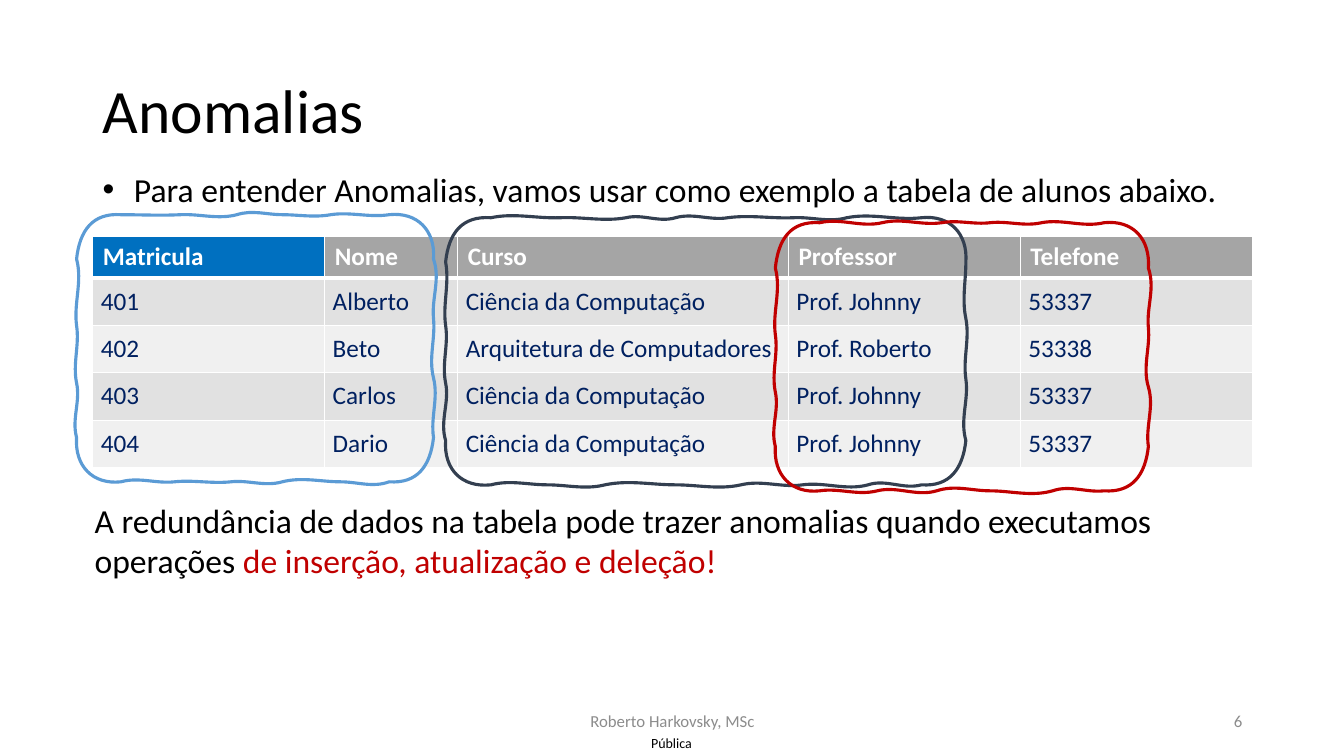
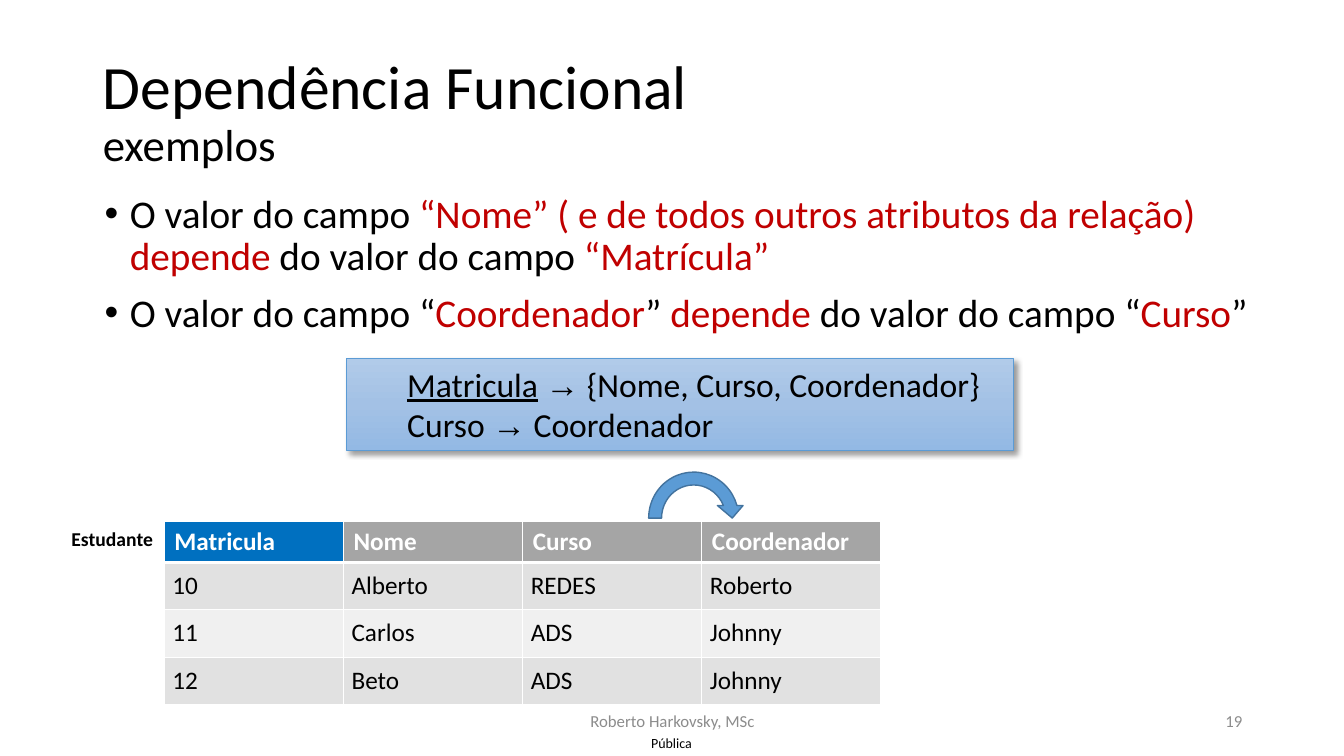
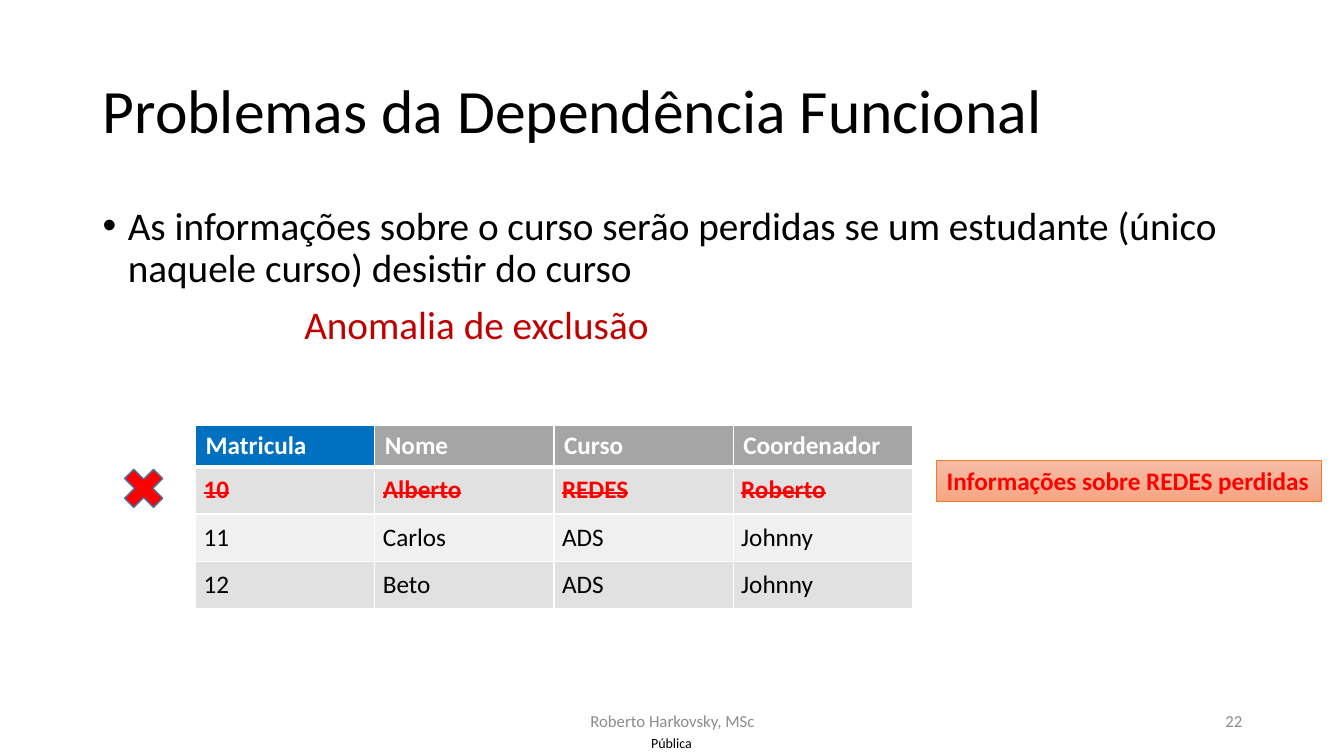
from dataclasses import dataclass
from itertools import pairwise

from lxml import etree
from pptx import Presentation, oxml, util as u
from pptx.dml.color import RGBColor
from pptx.enum import shapes as kinds, text as t
from pptx.oxml import ns

Box = tuple[float, float, float, float]
Wave = tuple[tuple[float, float], ...]
Point = tuple[float, float]


@dataclass(frozen=True)
class Theme:
    face: str = "Calibri"
    sign: str = "Arial"
    ink: str = "000000"
    white: str = "FFFFFF"
    grey: str = "8C8C8C"
    red: str = "C00000"
    alert: str = "FF0000"
    navy: str = "002060"
    key: str = "0070C0"
    head: str = "A5A5A5"
    bands: tuple[str, str] = ("E1E1E1", "F0F0F0")
    blue: str = "5B9BD5"
    edge: str = "43739E"
    slate: str = "333F50"
    orange: str = "ED7D31"
    sky: tuple[str, ...] = ("B1CBE9", "A3C1E5", "93B9E4")
    peach: tuple[str, ...] = ("F7BDA5", "F5B196", "F8A582")
    title: int = 44
    sub: int = 32
    body: int = 28
    lead: int = 24
    cell: int = 18
    label: int = 14
    foot: int = 12
    tag: int = 10


T = Theme()


@dataclass(frozen=True)
class Bit:
    text: str
    col: str | None = None
    size: int | None = None
    face: str | None = None
    under: bool = False


@dataclass(frozen=True)
class Para:
    bits: tuple[Bit, ...]
    size: int
    col: str = T.ink
    bold: bool = False
    strike: bool = False
    align: t.PP_ALIGN = t.PP_ALIGN.LEFT
    left: float = 0
    hang: float = 0
    gap: int = 0
    pitch: float = 1.0


@dataclass(frozen=True)
class Grid:
    left: float
    top: float
    cols: tuple[float, ...]
    rows: tuple[tuple[str, ...], ...]
    col: str = T.ink
    lost: int | None = None


@dataclass(frozen=True)
class Loop:
    col: str
    box: Box
    top: Wave
    right: Wave
    foot: Wave
    left: Wave


@dataclass(frozen=True)
class Knot:
    at: Point
    way: Point
    sway: float

    def pull(self, reach: float, sway: float) -> Point:
        (x, y), (dx, dy) = self.at, self.way
        return x + reach * dx + sway * abs(dy), y + reach * dy + sway * abs(dx)

    def bulge(self, size: float) -> float:
        dx, dy = self.way
        return size * (dy - dx)


def rgb(code: str) -> RGBColor:
    return RGBColor.from_string(code)


def plain(text: str, size: int, **opts) -> Para:
    return Para((Bit(text),), size, **opts)


def place(box: Box) -> list[u.Length]:
    return [u.Inches(n) for n in box]


def write(frame, paras: list[Para], anchor=t.MSO_ANCHOR.TOP, wrap: bool = True) -> None:
    frame.word_wrap = wrap
    frame.auto_size = t.MSO_AUTO_SIZE.NONE if wrap else t.MSO_AUTO_SIZE.SHAPE_TO_FIT_TEXT
    frame.vertical_anchor = anchor
    for n, para in enumerate(paras):
        p = frame.add_paragraph() if n else frame.paragraphs[0]
        props = p._p.get_or_add_pPr()
        props.set("marL", str(u.Inches(para.left)))
        props.set("indent", str(u.Inches(-para.hang)))
        if para.hang:
            etree.SubElement(props, ns.qn("a:buFont"), typeface=T.sign)
            etree.SubElement(props, ns.qn("a:buChar"), char="•")
        p.alignment = para.align
        p.line_spacing = para.pitch
        if n:
            p.space_before = u.Pt(para.gap)
        font = p.font
        font.name, font.size, font.bold = T.face, u.Pt(para.size), para.bold
        font.color.rgb = rgb(para.col)
        for bit in para.bits:
            if bit.text == "\n":
                p.add_line_break()
                continue
            run = p.add_run()
            run.text = bit.text
            if bit.col:
                run.font.color.rgb = rgb(bit.col)
            if bit.size:
                run.font.size = u.Pt(bit.size)
            if bit.face:
                run.font.name = bit.face
            if bit.under:
                run.font.underline = True
            if para.strike:
                run._r.get_or_add_rPr().set("strike", "sngStrike")


def label(slide, box: Box, paras: list[Para], anchor=t.MSO_ANCHOR.TOP,
          wrap: bool = True, inset: bool = True):
    item = slide.shapes.add_textbox(*place(box))
    frame = item.text_frame
    if not inset:
        frame.margin_left = frame.margin_right = frame.margin_top = frame.margin_bottom = 0
    write(frame, paras, anchor, wrap)
    return item


def start(deck, bits: tuple[Bit, ...], page: int):
    slide = deck.slides.add_slide(deck.slide_layouts[5])
    title = slide.shapes.title
    title.left, title.top, title.width, title.height = place((0.92, 0.4, 11.5, 1.45))
    mid = t.MSO_ANCHOR.MIDDLE
    write(title.text_frame, [Para(bits, T.title, pitch=0.9)], mid)
    label(slide, (4.42, 6.95, 4.5, 0.4),
          [plain("Roberto Harkovsky, MSc", T.foot, col=T.grey, align=t.PP_ALIGN.CENTER)], mid)
    label(slide, (9.42, 6.95, 3, 0.4),
          [plain(str(page), T.foot, col=T.grey, align=t.PP_ALIGN.RIGHT)], mid)
    return slide


def stamp(deck) -> None:
    mark = label(deck.slides[0], (6.31, 7.22, 0.7, 0.29),
                 [plain("Pública", T.tag, align=t.PP_ALIGN.CENTER)],
                 t.MSO_ANCHOR.MIDDLE, inset=False)
    deck.slide_master.shapes._spTree.append(mark._element)


def rule(cell, row: int) -> None:
    props = cell._tc.get_or_add_tcPr()
    wide = {"L": 1, "R": 1, "T": 3 if row == 1 else 1, "B": 1 if row else 3}
    for n, (side, size) in enumerate(wide.items()):
        line = etree.Element(ns.qn(f"a:ln{side}"), w=str(u.Pt(size)))
        fill = etree.SubElement(line, ns.qn("a:solidFill"))
        etree.SubElement(fill, ns.qn("a:srgbClr"), val=T.white)
        props.insert(n, line)


def table(slide, grid: Grid) -> None:
    high = [0.41] + [0.47] * (len(grid.rows) - 1)
    box = (grid.left, grid.top, sum(grid.cols), sum(high))
    tab = slide.shapes.add_table(len(high), len(grid.cols), *place(box)).table
    for n, width in enumerate(grid.cols):
        tab.columns[n].width = u.Inches(width)
    for r, words in enumerate(grid.rows):
        tab.rows[r].height = u.Inches(high[r])
        lost = r == grid.lost
        for c, word in enumerate(words):
            cell = tab.cell(r, c)
            cell.fill.solid()
            if r:
                pad = u.Inches(0.08)
                cell.margin_left = cell.margin_right = cell.margin_top = cell.margin_bottom = pad
                tint, col = T.bands[(r - 1) % 2], T.alert if lost else grid.col
            else:
                tint, col = T.head if c else T.key, T.white
            cell.fill.fore_color.rgb = rgb(tint)
            rule(cell, r)
            para = plain(word, T.cell, col=col, bold=lost or not r, strike=lost)
            write(cell.text_frame, [para])


def shape(slide, kind, box: Box, fill: str, edge: str, size: float = 1):
    item = slide.shapes.add_shape(kind, *place(box))
    item.shadow.inherit = False
    item.fill.solid()
    item.fill.fore_color.rgb = rgb(fill)
    item.line.color.rgb = rgb(edge)
    item.line.width = u.Pt(size)
    return item


def panel(slide, box: Box, tints: tuple[str, ...], edge: str):
    item = shape(slide, kinds.MSO_SHAPE.RECTANGLE, box, tints[0], edge, 0.5)
    stops = "".join(f'<a:gs pos="{n * 50000}"><a:srgbClr val="{tint}"/></a:gs>'
                    for n, tint in enumerate(tints))
    fill = oxml.parse_xml(f'<a:gradFill {ns.nsdecls("a")} rotWithShape="1"><a:gsLst>{stops}'
                          '</a:gsLst><a:lin ang="5400000" scaled="0"/></a:gradFill>')
    props = item._element.spPr
    props.replace(props.find(ns.qn("a:solidFill")), fill)
    return item


def shade(item) -> None:
    glow = item._element.spPr.find(ns.qn("a:effectLst"))
    cast = etree.SubElement(glow, ns.qn("a:outerShdw"), blurRad=str(u.Pt(4)),
                            dist=str(u.Pt(3)), dir="2700000", algn="tl", rotWithShape="0")
    tone = etree.SubElement(cast, ns.qn("a:srgbClr"), val=T.ink)
    etree.SubElement(tone, ns.qn("a:alpha"), val="40000")


def bend(a: Knot, b: Knot) -> tuple[Point, Point, Point]:
    span = max(abs(a.at[0] - b.at[0]), abs(a.at[1] - b.at[1]))
    if a.way == b.way:
        return a.pull(span * 0.34, -a.sway), b.pull(-span * 0.34, b.sway), b.at
    out = a.bulge(0.03) if a.way[0] else -a.bulge(-0.03) * -1
    return a.pull(span * 0.64, out), b.pull(-span * 0.64, b.bulge(0.02)), b.at


def sketch(slide, loop: Loop) -> None:
    x0, y0, x1, y1 = loop.box
    knots = [Knot((x, y0), (1, 0), sway) for x, sway in loop.top]
    knots += [Knot((x1, y), (0, 1), sway) for y, sway in loop.right]
    knots += [Knot((x, y1), (-1, 0), sway) for x, sway in loop.foot]
    knots += [Knot((x0, y), (0, -1), sway) for y, sway in loop.left]
    ring = knots + knots[:1]
    dots = [(u.Inches(k.at[0]), u.Inches(k.at[1])) for k in ring]
    pen = slide.shapes.build_freeform(*dots[0])
    pen.add_line_segments(dots[1:], close=True)
    item = pen.convert_to_shape()
    lines = list(item._element.iter(ns.qn("a:lnTo")))
    for line, (a, b) in zip(lines, pairwise(ring)):
        arc = etree.Element(ns.qn("a:cubicBezTo"))
        for x, y in bend(a, b):
            etree.SubElement(arc, ns.qn("a:pt"), x=str(u.Inches(x) - item.left),
                             y=str(u.Inches(y) - item.top))
        line.getparent().replace(line, arc)
    item.shadow.inherit = False
    item.fill.background()
    item.line.color.rgb = rgb(loop.col)
    item.line.width = u.Pt(2.25)


LOOPS = (
    Loop(T.blue, (0.76, 2.13, 4.3, 4.78),
         ((1.2, 0), (1.79, 0.01), (2.35, 0.05), (2.8, 0), (3.28, 0.03), (3.86, 0.03)),
         ((2.57, -0.07), (3.16, -0.02), (3.75, -0.05), (4.34, -0.03)),
         ((3.86, -0.06), (3.38, 0), (2.8, -0.05), (2.29, -0.02), (1.73, -0.02), (1.2, -0.05)),
         ((4.34, 0.05), (3.8, 0.04), (3.23, 0.03), (2.57, 0.06))),
    Loop(T.slate, (4.42, 2.16, 9.58, 4.81),
         ((4.87, 0.05), (5.56, 0.01), (6.21, 0.04), (6.7, 0.05), (7.22, 0.03),
          (7.87, 0.01), (8.4, 0.05), (9.14, 0.03)),
         ((2.6, 0), (3.16, -0.04), (3.76, -0.03), (4.37, -0.06)),
         ((9.14, -0.05), (8.61, -0.06), (7.96, -0.03), (7.35, -0.05), (6.7, 0),
          (6, -0.05), (5.43, 0), (4.87, -0.05)),
         ((4.37, 0.06), (3.8, 0.04), (3.23, 0.03), (2.6, 0.04))),
    Loop(T.red, (7.69, 2.21, 11.39, 4.87),
         ((8.13, 0.05), (8.75, 0.05), (9.34, 0.03), (9.82, 0.02), (10.33, 0.04), (10.95, 0.05)),
         ((2.66, -0.07), (3.25, -0.02), (3.84, -0.06), (4.43, -0.03)),
         ((10.95, -0.02), (10.44, -0.06), (9.82, 0), (9.29, -0.06), (8.7, -0.05), (8.13, -0.03)),
         ((4.43, 0.05), (3.89, 0.04), (3.32, 0.03), (2.66, 0.06))),
)

PUPILS = (
    ("Matricula", "Nome", "Curso", "Professor", "Telefone"),
    ("401", "Alberto", "Ciência da Computação", "Prof. Johnny", "53337"),
    ("402", "Beto", "Arquitetura de Computadores", "Prof. Roberto", "53338"),
    ("403", "Carlos", "Ciência da Computação", "Prof. Johnny", "53337"),
    ("404", "Dario", "Ciência da Computação", "Prof. Johnny", "53337"),
)

HEADS = (
    ("Matricula", "Nome", "Curso", "Coordenador"),
    ("10", "Alberto", "REDES", "Roberto"),
    ("11", "Carlos", "ADS", "Johnny"),
    ("12", "Beto", "ADS", "Johnny"),
)
EVEN = (7.11 / 4,) * 4


def point(*bits: Bit) -> Para:
    return Para(bits, T.body, left=0.25, hang=0.25, gap=10, pitch=0.9)


def flaws(deck) -> None:
    slide = start(deck, (Bit("Anomalias"),), 6)
    table(slide, Grid(0.92, 2.35, (2.3, 1.32, 3.28, 2.3, 2.3), PUPILS, T.navy))
    intro = "Para entender Anomalias, vamos usar como exemplo a tabela de alunos abaixo."
    label(slide, (0.92, 1.63, 11.35, 0.5),
          [plain(intro, T.lead, left=0.31, hang=0.31)], wrap=False)
    label(slide, (0.84, 4.91, 11.5, 0.91), [Para((
        Bit("A redundância de dados na tabela pode trazer anomalias quando "
            "executamos operações "),
        Bit("de inserção, atualização e deleção!", T.red)), T.lead)])
    for loop in LOOPS:
        sketch(slide, loop)


def links(deck) -> None:
    slide = start(deck, (Bit("Dependência Funcional"), Bit("\n"),
                         Bit("exemplos", size=T.sub)), 19)
    label(slide, (0.94, 1.88, 11.89, 4.76), [
        point(Bit("O valor do campo "),
              Bit("“Nome” ( e de todos outros atributos da relação) depende", T.red),
              Bit(" do valor do campo "), Bit("“Matrícula”", T.red)),
        point(Bit("O valor do campo “"), Bit("Coordenador", T.red), Bit("” "),
              Bit("depende", T.red), Bit(" do valor do campo “"),
              Bit("Curso", T.red), Bit("”"))])
    table(slide, Grid(1.63, 5.17, EVEN, HEADS))
    label(slide, (0.61, 5.18, 1.02, 0.34),
          [plain("Estudante", T.label, bold=True)], wrap=False)
    rules = panel(slide, (3.44, 3.56, 6.61, 0.91), T.sky, T.blue)
    shade(rules)
    arrow = Bit("→", face=T.sign)
    write(rules.text_frame, [
        Para((Bit("Matricula", under=True), Bit(" "), arrow,
              Bit(" {Nome, Curso, Coordenador}")), T.lead, left=0.5),
        Para((Bit("Curso "), arrow, Bit(" Coordenador")), T.lead, left=0.5)])
    shape(slide, kinds.MSO_SHAPE.CIRCULAR_ARROW, (6.37, 4.62, 1.02, 1.04), T.blue, T.edge)


def losses(deck) -> None:
    slide = start(deck, (Bit("Problemas da Dependência Funcional"),), 22)
    label(slide, (0.92, 2, 11.5, 4.76), [
        point(Bit("As informações sobre o curso serão perdidas se um estudante "
                  "(único naquele curso) desistir do curso")),
        plain("Anomalia de exclusão", T.body, col=T.red, left=2, gap=10, pitch=0.9)])
    table(slide, Grid(1.94, 4.22, EVEN, HEADS, lost=1))
    shape(slide, kinds.MSO_SHAPE.MATH_MULTIPLY, (1.15, 4.57, 0.55, 0.55), T.alert, T.edge)
    note = panel(slide, (9.29, 4.57, 3.82, 0.4), T.peach, T.orange)
    write(note.text_frame, [plain("Informações sobre REDES perdidas", T.cell,
                                  col=T.alert, bold=True)], wrap=False)


def main() -> None:
    deck = Presentation()
    deck.slide_width, deck.slide_height = u.Inches(13.33), u.Inches(7.5)
    for draw in (flaws, links, losses):
        draw(deck)
    stamp(deck)
    deck.save("out.pptx")


if __name__ == "__main__":
    main()
